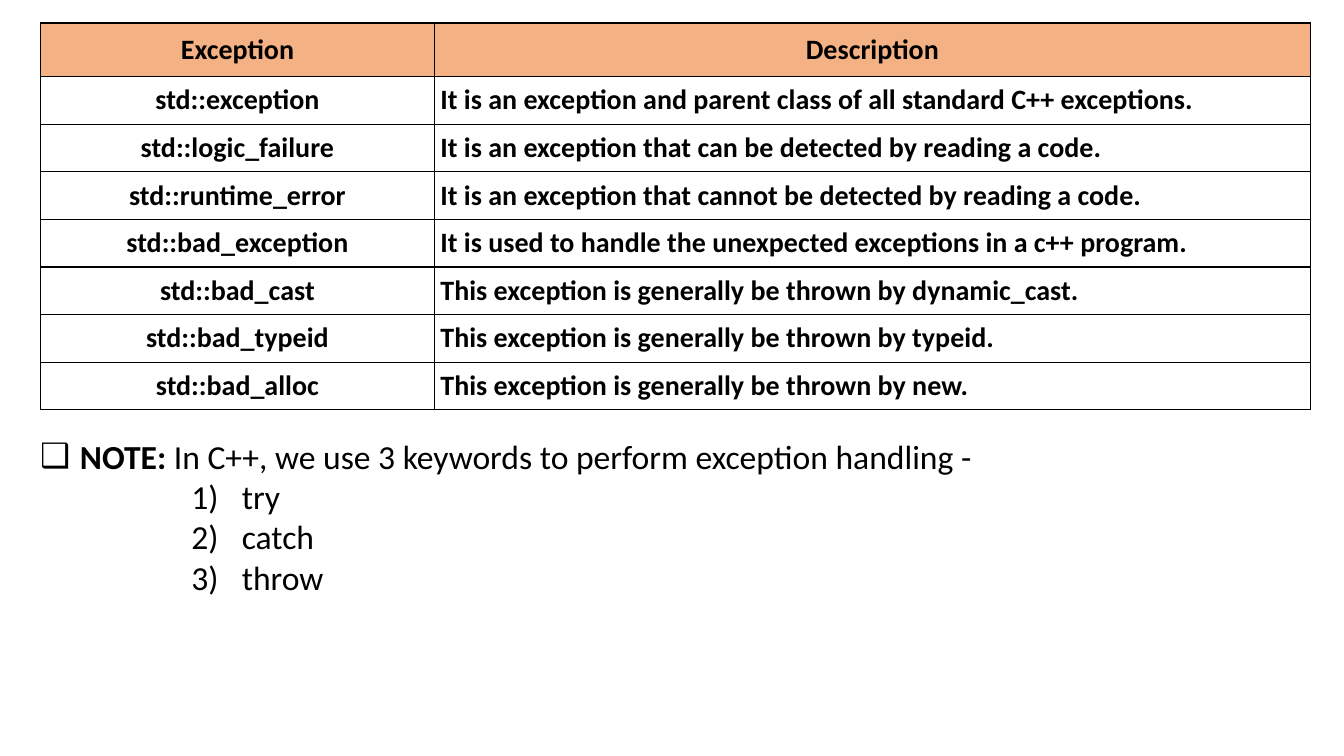
from pptx import Presentation
from pptx.dml.color import RGBColor
from pptx.enum.text import MSO_ANCHOR, MSO_AUTO_SIZE, PP_ALIGN
from pptx.oxml import parse_xml
from pptx.oxml.ns import nsdecls
from pptx.util import Cm, Pt

HEADER = ("Exception", "Description")
EXCEPTIONS = [
    ("std::exception", "It is an exception and parent class of all standard C++ exceptions."),
    ("std::logic_failure", "It is an exception that can be detected by reading a code."),
    ("std::runtime_error", "It is an exception that cannot be detected by reading a code."),
    ("std::bad_exception", "It is used to handle the unexpected exceptions in a c++ program."),
    ("std::bad_cast", "This exception is generally be thrown by dynamic_cast."),
    ("std::bad_typeid", "This exception is generally be thrown by typeid."),
    ("std::bad_alloc", "This exception is generally be thrown by new."),
]
NOTE = [("NOTE:", True), (" In C++, we use 3 keywords to perform exception handling -", False)]
KEYWORDS = ["try", "catch", "throw"]

COLORS = {"text": "000000", "border": "000000", "header": "F4B183", "row": "FFFFFF"}
FONT = "Calibri"
COL_WIDTHS = (Cm(9.93), Cm(22.07))
HEADER_HEIGHT, ROW_HEIGHT = Cm(1.34), Cm(1.2)
HEADER_INSET, ROW_INSET = Cm(0.25), Cm(0.15)
NOTE_BULLET = '<a:buChar {} char="❑"/>'
KEYWORD_BULLET = '<a:buAutoNum {} type="arabicParenR"/>'


def set_format(font, size, bold):
    for name, value in {"name": FONT, "size": Pt(size), "bold": bold}.items():
        setattr(font, name, value)
    font.color.rgb = RGBColor.from_string(COLORS["text"])


def add_borders(cell):
    tc_pr = cell._tc.get_or_add_tcPr()
    for side in "LRTB":
        tc_pr.append(parse_xml(
            f'<a:ln{side} {nsdecls("a")} w="{Pt(1)}"><a:solidFill>'
            f'<a:srgbClr val="{COLORS["border"]}"/></a:solidFill></a:ln{side}>'))


def fill_cell(cell, text, is_header, centred):
    inset = HEADER_INSET if is_header else ROW_INSET
    for side in ("left", "right", "top", "bottom"):
        setattr(cell, f"margin_{side}", inset)
    cell.vertical_anchor = MSO_ANCHOR.MIDDLE
    add_borders(cell)
    cell.fill.solid()
    cell.fill.fore_color.rgb = RGBColor.from_string(COLORS["header" if is_header else "row"])
    p = cell.text_frame.paragraphs[0]
    p.alignment = PP_ALIGN.CENTER if centred else PP_ALIGN.LEFT
    r = p.add_run()
    r.text = text
    set_format(r.font, 20, True)


def add_exception_table(s):
    rows = [HEADER] + EXCEPTIONS
    height = HEADER_HEIGHT + ROW_HEIGHT * len(EXCEPTIONS)
    table = s.shapes.add_table(len(rows), len(HEADER), Cm(1.02), Cm(0.58),
                               sum(COL_WIDTHS), height).table
    table.horz_banding = False
    for col, width in zip(table.columns, COL_WIDTHS):
        col.width = width
    for i, texts in enumerate(rows):
        table.rows[i].height = ROW_HEIGHT if i else HEADER_HEIGHT
        for j, text in enumerate(texts):
            fill_cell(table.cell(i, j), text, i == 0, i == 0 or j == 0)


def add_list_item(p, runs, bullet, indent, hanging, level=0):
    p.level = level
    p.space_before = Pt(0)
    p_pr = p._p.get_or_add_pPr()
    p_pr.set("marL", str(indent))
    p_pr.set("indent", str(-hanging))
    p_pr.append(parse_xml(bullet.format(nsdecls("a"))))
    for text, bold in runs:
        r = p.add_run()
        r.text = text
        set_format(r.font, 24, bold)


def add_note(body):
    body.left, body.top, body.width, body.height = Cm(0.76), Cm(10.85), Cm(26.09), Cm(4.37)
    tf = body.text_frame
    tf.word_wrap = True
    tf.auto_size = MSO_AUTO_SIZE.SHAPE_TO_FIT_TEXT
    add_list_item(tf.paragraphs[0], NOTE, NOTE_BULLET, Cm(1), Cm(1))
    for keyword in KEYWORDS:
        add_list_item(tf.add_paragraph(), [(keyword, False)], KEYWORD_BULLET,
                      Cm(5.08), Cm(1.27), level=3)


def main():
    prs = Presentation()
    prs.slide_width, prs.slide_height = Cm(33.87), Cm(19.05)
    s = prs.slides.add_slide(prs.slide_layouts[1])
    title = s.shapes.title._element
    title.getparent().remove(title)
    add_exception_table(s)
    add_note(s.placeholders[1])
    prs.save("out.pptx")


if __name__ == "__main__":
    main()
